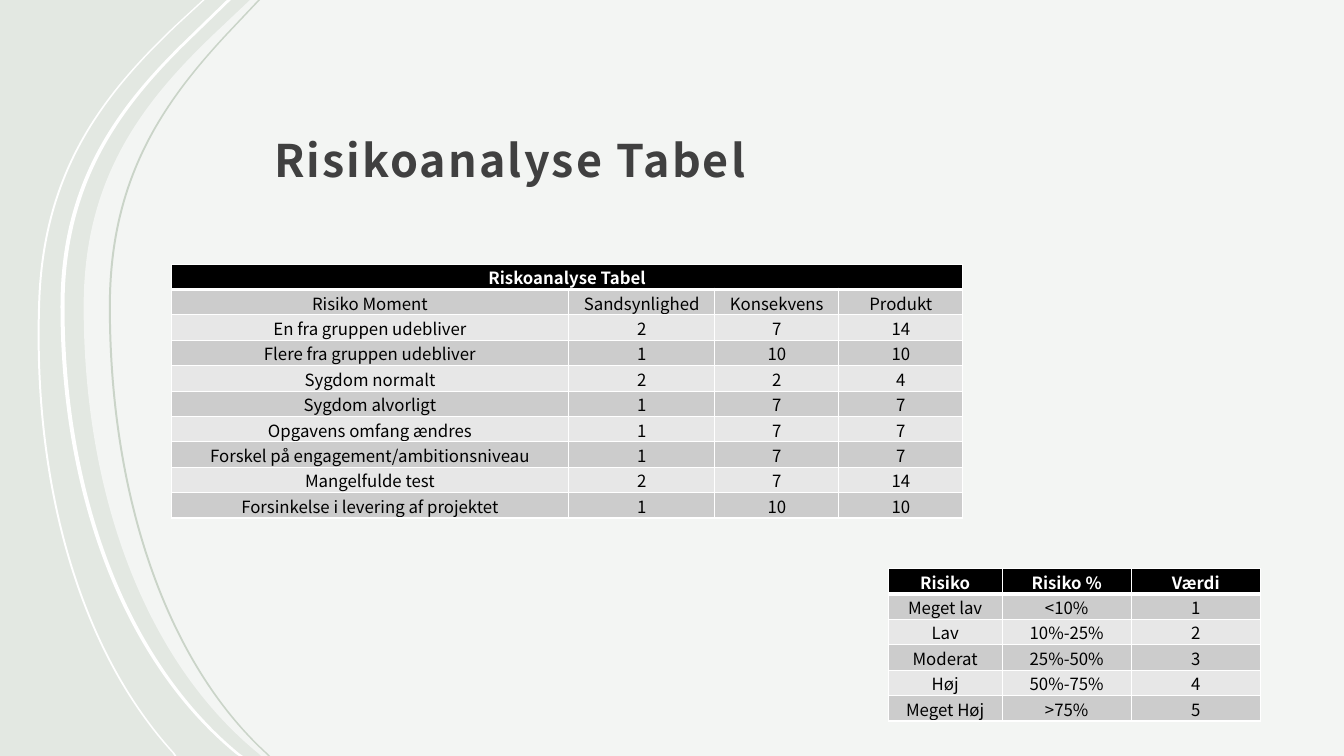
from lxml import etree
from pptx import Presentation
from pptx.dml.color import RGBColor
from pptx.enum.text import MSO_ANCHOR, MSO_AUTO_SIZE, PP_ALIGN
from pptx.oxml import parse_xml
from pptx.oxml.ns import nsdecls, qn
from pptx.util import Inches, Pt

FONT = "Noto Sans CJK JP"
BOTTOM, NO_FIT = MSO_ANCHOR.BOTTOM, MSO_AUTO_SIZE.NONE
LEFT, CENTER = PP_ALIGN.LEFT, PP_ALIGN.CENTER
SAGE = RGBColor(0xE3, 0xE8, 0xE2)
MOSS = RGBColor(0xCA, 0xD4, 0xC8)
WHITE = RGBColor(0xFF, 0xFF, 0xFF)
BLACK = RGBColor(0, 0, 0)
GRAPHITE = RGBColor(0x40, 0x40, 0x40)
DARK = RGBColor(0xCC, 0xCC, 0xCC)
LIGHT = RGBColor(0xE7, 0xE7, 0xE7)
WIDE, HIGH = 13.33, 7.5


def split(knots):
    """Group nine knots into point, line, curve, curve and line steps."""
    return [knots[:1], knots[1:2], knots[2:5], knots[5:8], knots[8:]]


def add_grid(left, top, widths, rows):
    size = len(rows), len(widths)
    frame = slide.shapes.add_table(*size, Inches(left), Inches(top),
                                   Inches(sum(widths)), Inches(0.25 * len(rows)))
    table = frame.table
    table.first_row = table.horz_banding = False
    for col, width in zip(table.columns, widths):
        col.width = Inches(width)
    for r, row in enumerate(rows):
        table.rows[r].height = Inches(0.25)
        head = r == 0
        for c in range(len(widths)):
            cell = table.cell(r, c)
            look = {"margin_left": Inches(0.01), "margin_right": Inches(0.01),
                    "margin_top": Inches(0.01), "margin_bottom": 0,
                    "vertical_anchor": BOTTOM}
            for name, value in look.items():
                setattr(cell, name, value)
            cell.fill.solid()
            cell.fill.fore_color.rgb = BLACK if head else DARK if r % 2 else LIGHT
            props = cell._tc.get_or_add_tcPr()
            for i, side in enumerate("LRTB"):
                thick = (head and side == "B") or (r == 1 and side == "T")
                props.insert(i, parse_xml(
                    f'<a:ln{side} {nsdecls("a")} w="{Pt(3 if thick else 1)}">'
                    f'<a:solidFill><a:srgbClr val="{WHITE}"/></a:solidFill></a:ln{side}>'))
            if c < len(row):
                para = cell.text_frame.paragraphs[0]
                para.alignment = CENTER
                run = para.add_run()
                run.text = row[c]
                style = {"size": Pt(12), "name": FONT, "bold": head}
                for name, value in style.items():
                    setattr(run.font, name, value)
                run.font.color.rgb = WHITE if head else BLACK
    return table


deck = Presentation()
deck.slide_width, deck.slide_height = Inches(WIDE), Inches(HIGH)
slide = deck.slides.add_slide(deck.slide_layouts[5])
slide.background.fill.solid()
slide.background.fill.fore_color.rgb = SAGE

# Curved panel and ribbons: knots, ribbon width (None runs to the right edge), colour
bands = [
    ([(2.48, 0), (2.11, 0.35), (1.39, 1.04), (0.83, 1.79), (0.83, 3.04),
      (0.83, 4.92), (1.45, 6.57), (2.57, 7.48), (2.59, HIGH)], None, WHITE),
    ([(2.01, 0), (1.75, 0.24), (1.02, 0.93), (0.43, 1.68), (0.38, 2.97),
      (0.31, 4.8), (0.78, 6.45), (1.71, 7.47), (1.73, HIGH)], 0.02, WHITE),
    ([(2.25, 0), (1.89, 0.35), (1.17, 1.04), (0.6, 1.79), (0.6, 3.04),
      (0.6, 4.92), (1.23, 6.57), (2.34, 7.48), (2.37, HIGH)], 0.04, WHITE),
    ([(2.56, 0), (2.23, 0.35), (1.59, 1.04), (1.08, 1.79), (1.08, 3.04),
      (1.08, 4.92), (1.64, 6.57), (2.64, 7.48), (2.66, HIGH)], 0.02, MOSS),
]
for knots, width, color in bands:
    steps = split(knots)
    if width:
        steps += split([(x + width, y) for x, y in reversed(knots)])
    else:
        steps += [[(WIDE, HIGH)], [(WIDE, 0)]]
    ends = [(Inches(step[-1][0]), Inches(step[-1][1])) for step in steps]
    pen = slide.shapes.build_freeform(*ends[0])
    pen.add_line_segments(ends[1:], close=True)
    band = pen.convert_to_shape()
    band.shadow.inherit = False
    band.fill.solid()
    band.fill.fore_color.rgb = color
    band.line.fill.background()
    lines = list(band._element.iter(qn("a:lnTo")))
    for line, step in zip(lines, steps[1:]):
        if len(step) == 3:
            line.tag = qn("a:cubicBezTo")
            for i, (x, y) in enumerate(step[:2]):
                line.insert(i, parse_xml(
                    f'<a:pt {nsdecls("a")} x="{Inches(x) - band.left}" y="{Inches(y) - band.top}"/>'))
    if not width:
        tint = band._element.spPr.find(qn("a:solidFill"))[0]
        etree.SubElement(tint, qn("a:alpha")).set("val", "60000")

title = slide.shapes.title
slide.shapes._spTree.append(title._element)
title.left, title.top = Inches(2.6), Inches(0.48)
title.width, title.height = Inches(9.18), Inches(1.47)
body = title.text_frame
frame_look = {"margin_left": Inches(0.12), "margin_right": Inches(0.12),
              "margin_top": Inches(0.12), "margin_bottom": Inches(0.1),
              "vertical_anchor": BOTTOM, "word_wrap": True, "auto_size": NO_FIT}
for name, value in frame_look.items():
    setattr(body, name, value)
para = body.paragraphs[0]
para.alignment, para.line_spacing = LEFT, 1.3
run = para.add_run()
run.text = "Risikoanalyse Tabel"
for name, value in {"size": Pt(32), "name": FONT, "bold": True}.items():
    setattr(run.font, name, value)
run.font.color.rgb = GRAPHITE
run._r.get_or_add_rPr().set("spc", "150")

risks = add_grid(1.7, 2.62, [3.94, 1.45, 1.23, 1.23], [
    ["Riskoanalyse Tabel"],
    ["Risiko Moment", "Sandsynlighed", "Konsekvens", "Produkt"],
    ["En fra gruppen udebliver", "2", "7", "14"],
    ["Flere fra gruppen udebliver", "1", "10", "10"],
    ["Sygdom normalt", "2", "2", "4"],
    ["Sygdom alvorligt", "1", "7", "7"],
    ["Opgavens omfang ændres", "1", "7", "7"],
    ["Forskel på engagement/ambitionsniveau", "1", "7", "7"],
    ["Mangelfulde test", "2", "7", "14"],
    ["Forsinkelse i levering af projektet", "1", "10", "10"],
])
risks.cell(0, 0).merge(risks.cell(0, 3))

add_grid(8.81, 5.64, [1.13, 1.28, 1.28], [
    ["Risiko", "Risiko %", "Værdi"],
    ["Meget lav", "<10%", "1"],
    ["Lav", "10%-25%", "2"],
    ["Moderat", "25%-50%", "3"],
    ["Høj", "50%-75%", "4"],
    ["Meget Høj", ">75%", "5"],
])

deck.save("out.pptx")
